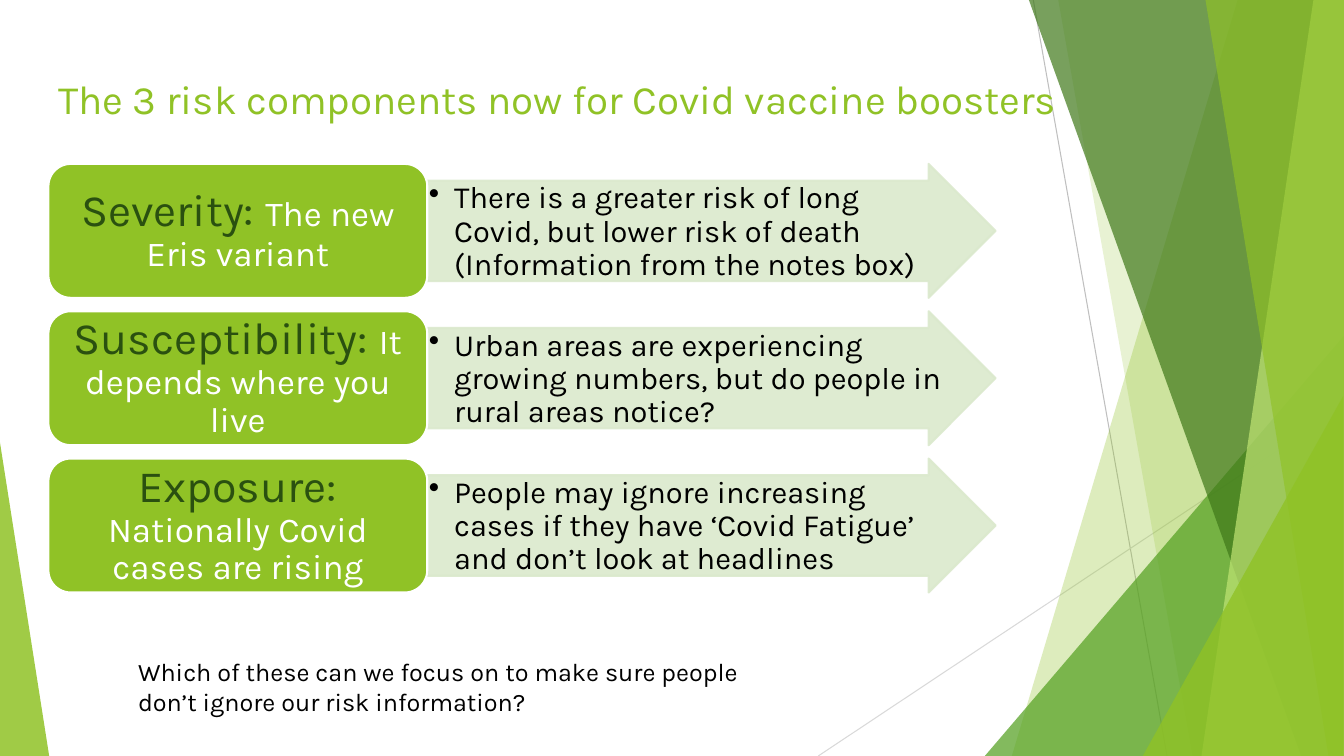
import pptx
import pptx.util
import pptx.dml.color
import pptx.enum.shapes
import pptx.enum.text
import pptx.oxml
import pptx.oxml.ns

Cm = pptx.util.Cm
SHAPE = pptx.enum.shapes.MSO_SHAPE
ALIGN = pptx.enum.text.PP_ALIGN
ANCHOR = pptx.enum.text.MSO_ANCHOR
WIDTH, HEIGHT = 33.87, 19.05
GREEN, DARK_GREEN, PALE_GREEN = "90C226", "2A5010", "DBE9CD"

RISKS = [
    ("Severity: ", "The new Eris variant",
     "There is a greater risk of long Covid, but lower risk of death "
     "(Information from the notes box)"),
    ("Susceptibility: ", "It depends where you live",
     "Urban areas are experiencing growing numbers, "
     "but do people in rural areas notice?"),
    ("Exposure: ", "Nationally Covid cases are rising",
     "People may ignore increasing cases if they have ‘Covid Fatigue’ "
     "and don’t look at headlines"),
]


def rgb(value):
    return pptx.dml.color.RGBColor.from_string(value)


def add_xml(parent, tag, **attrs):
    child = pptx.oxml.parse_xml(f"<a:{tag} {pptx.oxml.ns.nsdecls('a')}/>")
    for name, value in attrs.items():
        child.set(name, str(value))
    parent.append(child)


def paint(color_format, color, opacity=100):
    """Fill a shape or line format, adding transparency when asked."""
    color_format.solid()
    color_format.fore_color.rgb = rgb(color)
    if opacity < 100:
        for clr in color_format._xPr.iter(pptx.oxml.ns.qn("a:srgbClr")):
            add_xml(clr, "alpha", val=opacity * 1000)


def style(sp, fill, opacity=100, line=None):
    sp.shadow.inherit = False
    paint(sp.fill, fill, opacity)
    if line:
        paint(sp.line.fill, line, opacity)
        sp.line.width = pptx.util.Pt(1.5)
    else:
        sp.line.fill.background()


def add_shape(s, kind, box, adjustments=(), **look):
    sp = s.shapes.add_shape(kind, *map(Cm, box))
    for i, value in enumerate(adjustments):
        sp.adjustments[i] = value
    style(sp, **look)
    return sp


def set_frame(tf, margins, anchor):
    tf.word_wrap = True
    formats = dict(zip(("margin_left", "margin_top", "margin_right", "margin_bottom"),
                       map(Cm, margins)), vertical_anchor=anchor)
    for name, value in formats.items():
        setattr(tf, name, value)


def add_run(p, text, size, color):
    r = p.add_run()
    r.text = text
    for name, value in {"name": "Karla", "size": pptx.util.Pt(size)}.items():
        setattr(r.font, name, value)
    r.font.color.rgb = rgb(color)


def add_line(s, start, end, color):
    line = s.shapes.add_connector(pptx.enum.shapes.MSO_CONNECTOR.STRAIGHT,
                                  *map(Cm, start + end))
    line.line.color.rgb = rgb(color)
    line.line.width = pptx.util.Pt(0.75)
    add_xml(line._element.spPr, "effectLst")


def add_band(s, top_x, bottom_x, color, opacity):
    """Full-height band from a slanted left side to the right slide edge."""
    corners = [(top_x, 0), (WIDTH, 0), (WIDTH, HEIGHT), (bottom_x, HEIGHT)]
    points = [(Cm(x), Cm(y)) for x, y in corners]
    builder = s.shapes.build_freeform(*points[0])
    builder.add_line_segments(points[1:])
    style(builder.convert_to_shape(), color, opacity)


def add_wedge(s, x, width, height, apex, color, opacity):
    """Right-angled triangle standing on the bottom edge of the slide."""
    add_shape(s, SHAPE.ISOSCELES_TRIANGLE, (x, HEIGHT - height, width, height),
              [apex], fill=color, opacity=opacity)


def add_backdrop(s):
    add_line(s, (26.04, 0), (29.41, HEIGHT), "BFBFBF")
    add_line(s, (WIDTH, 10.24), (20.62, HEIGHT), "D9D9D9")
    add_band(s, 31.19, 25.5, GREEN, 30)
    add_band(s, 26.67, 30.05, GREEN, 20)
    add_wedge(s, 24.82, 9.05, 10.59, 1, "54A021", 72)
    add_band(s, 25.93, 32.79, "3F7819", 70)
    add_band(s, 33.1, 30.28, "C0E474", 70)
    add_band(s, 30.38, 33.48, GREEN, 65)
    add_wedge(s, 28.8, 5.05, 9.07, 1, GREEN, 80)
    add_wedge(s, 0, 1.24, 7.9, 0, GREEN, 85)


def add_text(s, box, text, size, color):
    tf = s.shapes.add_textbox(*map(Cm, box)).text_frame
    set_frame(tf, (0.25, 0.13, 0.25, 0.13), ANCHOR.TOP)
    add_run(tf.paragraphs[0], text, size, color)


def add_risk(s, box, heading, summary, detail):
    """One row: a label on the left 40 % and an arrow on the rest."""
    x, y, width, height = box
    label_width = width * 0.4
    arrow = add_shape(s, SHAPE.RIGHT_ARROW,
                      (x + label_width, y, width - label_width, height),
                      [0.75, 0.5], fill=PALE_GREEN, opacity=90, line=PALE_GREEN)
    set_frame(arrow.text_frame, (0.04, 0.04, 0.04, 0.04), ANCHOR.TOP)
    p = arrow.text_frame.paragraphs[0]
    pPr = p._p.get_or_add_pPr()
    pPr.set("marL", str(Cm(0.64)))
    pPr.set("indent", str(-Cm(0.64)))
    add_xml(pPr, "buChar", char="•")
    p.alignment, p.line_spacing = ALIGN.LEFT, 0.9
    add_run(p, detail, 22, "000000")

    label = add_shape(s, SHAPE.ROUNDED_RECTANGLE, (x, y, label_width, height),
                      fill=GREEN, line="FFFFFF")
    set_frame(label.text_frame, (0.33, 0.17, 0.33, 0.17), ANCHOR.MIDDLE)
    p = label.text_frame.paragraphs[0]
    p.alignment, p.line_spacing = ALIGN.CENTER, 0.9
    add_run(p, heading, 32, DARK_GREEN)
    add_run(p, summary, 25, "FFFFFF")


def add_risks(s, box):
    x, y, width, height = box
    row_height = height / (len(RISKS) + 0.2)
    pitch = row_height * 1.1
    for i, risk in enumerate(RISKS):
        add_risk(s, (x, y + i * pitch, width, row_height), *risk)


def main():
    prs = pptx.Presentation()
    prs.slide_width, prs.slide_height = Cm(WIDTH), Cm(HEIGHT)
    s = prs.slides.add_slide(prs.slide_layouts[6])
    add_backdrop(s)
    add_text(s, (1.22, 1.73, 26.82, 2.95),
             "The 3 risk components now for Covid vaccine boosters", 28.8, GREEN)
    add_risks(s, (1.22, 4.13, 23.87, 10.8))
    add_text(s, (3.23, 16.41, 16.28, 1.8),
             "Which of these can we focus on to make sure people "
             "don’t ignore our risk information?", 18, "000000")
    prs.save("out.pptx")


if __name__ == "__main__":
    main()
